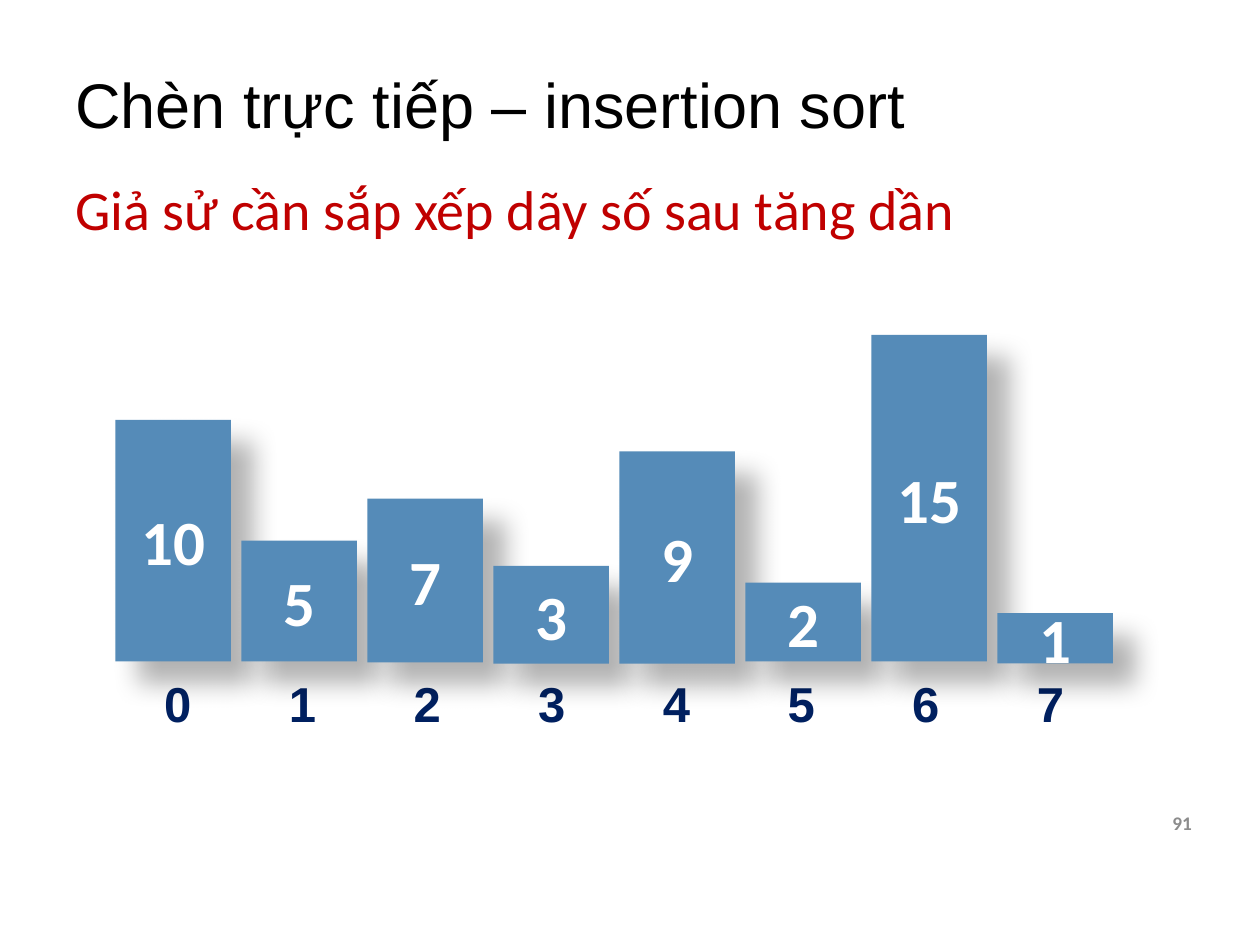
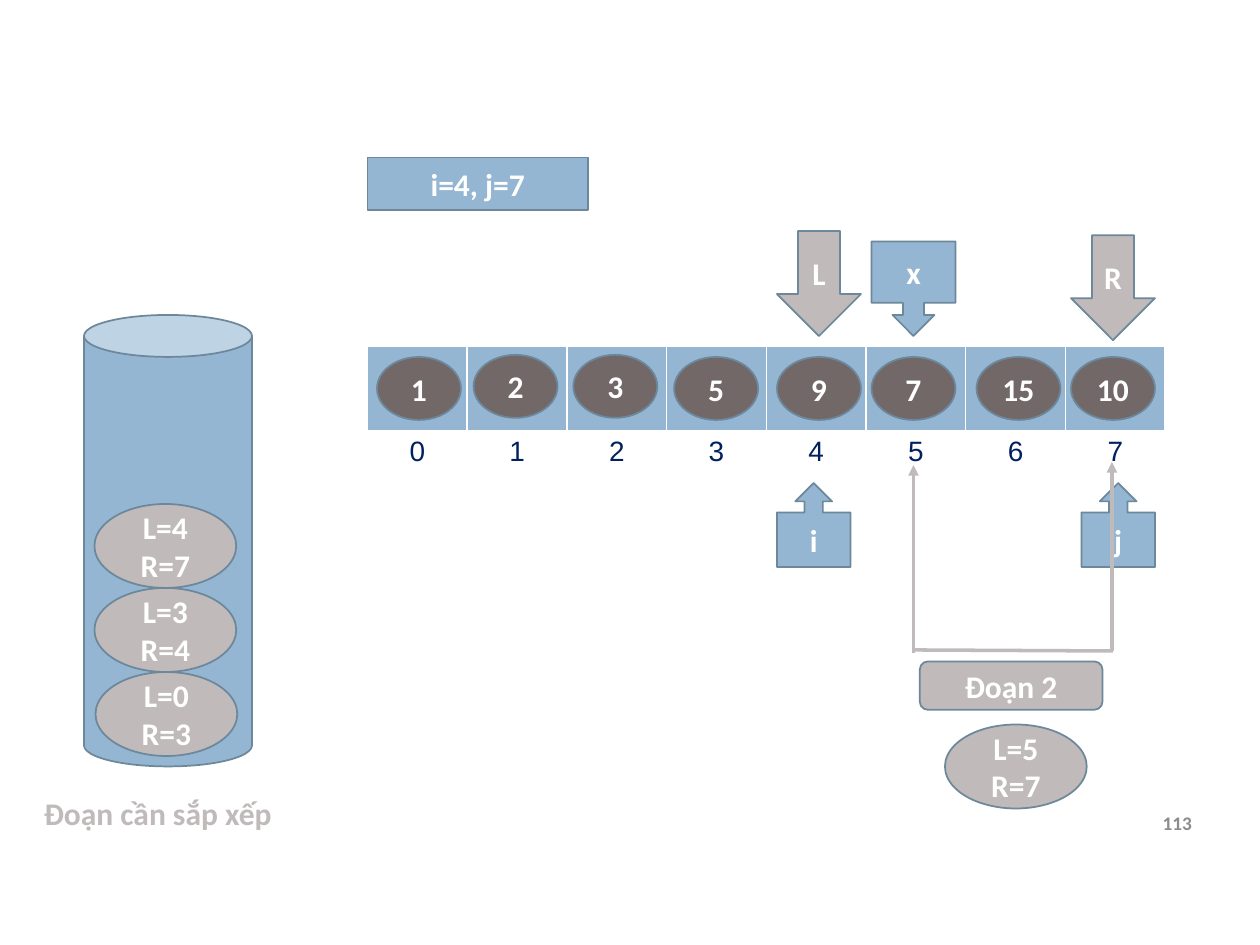
from dataclasses import dataclass
from typing import Optional

import lxml.etree
import pptx
import pptx.dml.color
import pptx.enum.shapes
import pptx.enum.text
import pptx.oxml.ns
import pptx.util

Color = pptx.dml.color.RGBColor
Kind = pptx.enum.shapes.MSO_SHAPE
Align = pptx.enum.text.PP_ALIGN
Anchor = pptx.enum.text.MSO_ANCHOR

SLIDE_WIDTH = pptx.util.Inches(10)
SLIDE_HEIGHT = pptx.util.Inches(7.5)
GRID_COLUMNS = 120
GRID_ROWS = 90

WHITE = Color(0xFF, 0xFF, 0xFF)
BLACK = Color(0x00, 0x00, 0x00)
RED = Color(0xC0, 0x00, 0x00)
NAVY = Color(0x00, 0x20, 0x60)
BAR_BLUE = Color(0x55, 0x8B, 0xB8)
SKY = Color(0x94, 0xB6, 0xD2)
OUTLINE = Color(0x6D, 0x87, 0x9B)
WARM_GRAY = Color(0xC0, 0xBA, 0xBA)
BROWN = Color(0x72, 0x68, 0x68)
NUMBER_GRAY = Color(0x8C, 0x8C, 0x8C)


@dataclass(frozen=True)
class Style:
    size: float
    color: Color = WHITE
    font: str = "Calibri"
    bold: bool = True
    align: Align = Align.CENTER
    spacing: Optional[float] = None


@dataclass(frozen=True)
class Box:
    left: float
    top: float
    width: float
    height: float

    def lengths(self) -> tuple[int, int, int, int]:
        return across(self.left), down(self.top), across(self.width), down(self.height)


@dataclass(frozen=True)
class Block:
    kind: Kind
    box: Box
    fill: Color
    lines: tuple[str, ...] = ()
    outline: Optional[Color] = OUTLINE
    size: float = 18
    shadow: bool = False


@dataclass(frozen=True)
class Line:
    start: tuple[float, float]
    end: tuple[float, float]
    arrow: bool = False


@dataclass(frozen=True)
class Bar:
    value: int
    top: float
    bottom: float = 63


TITLE = Style(36, BLACK, "Arial", False, Align.LEFT, 0.9)
SUBTITLE = Style(32, RED, bold=False, align=Align.LEFT)
SLIDE_NUMBER = Style(11, NUMBER_GRAY, align=Align.RIGHT)
STACK_CAPTION = Style(18, WARM_GRAY, align=Align.LEFT)
BAR_INDEX = Style(28, NAVY, "Arial")
CELL_INDEX = Style(16, NAVY, "Arial", False)

BARS = (
    Bar(10, 40), Bar(5, 51.5), Bar(7, 47.5, 63.1), Bar(3, 53.9, 63.2),
    Bar(9, 43, 63.2), Bar(2, 55.5), Bar(15, 31.9), Bar(1, 58.4, 63.2),
)
BAR_LEFT, BAR_WIDTH, BAR_STEP = 11, 11, 12
INDICES = tuple(str(index) for index in range(8))

ARRAY_DISKS = (
    (1, 35.9, 34), (2, 45.1, 33.8), (3, 54.6, 33.8), (5, 64.2, 34),
    (9, 74, 34), (7, 83, 34), (15, 93, 34), (10, 102, 34),
)
STACK = (("L=0", "R=3", 9.1), ("L=3", "R=4", 9), ("L=4", "R=7", 9))
RANGE_WIDTH, RANGE_HEIGHT = 13.5, 8
STACK_BOTTOM = 72


def across(columns: float) -> int:
    return round(SLIDE_WIDTH * columns / GRID_COLUMNS)


def down(rows: float) -> int:
    return round(SLIDE_HEIGHT * rows / GRID_ROWS)


def add_child(parent, tag: str, **attributes: str):
    child = lxml.etree.SubElement(parent, pptx.oxml.ns.qn(tag))
    for name, value in attributes.items():
        child.set(name, value)
    return child


def write(frame, lines: tuple[str, ...], style: Style) -> None:
    for position, line in enumerate(lines):
        paragraph = frame.add_paragraph() if position else frame.paragraphs[0]
        paragraph.alignment = style.align
        if style.spacing:
            paragraph.line_spacing = style.spacing
        run = paragraph.add_run()
        run.text = line
        run.font.size = pptx.util.Pt(style.size)
        run.font.name = style.font
        run.font.bold = style.bold
        run.font.color.rgb = style.color


def add_text(slide, box: Box, text: str, style: Style,
             anchor: Anchor = Anchor.MIDDLE, wrap: bool = True) -> None:
    frame = slide.shapes.add_textbox(*box.lengths()).text_frame
    frame.word_wrap = wrap
    frame.vertical_anchor = anchor
    write(frame, (text,), style)


def add_slide_number(slide, number: int) -> None:
    add_text(slide, Box(106.7, 75, 8, 6.8), str(number), SLIDE_NUMBER)


def add_block(slide, block: Block) -> None:
    shape = slide.shapes.add_shape(block.kind, *block.box.lengths())
    shape.fill.solid()
    shape.fill.fore_color.rgb = block.fill
    if block.outline:
        shape.line.color.rgb = block.outline
        shape.line.width = pptx.util.Pt(1)
    else:
        shape.line.fill.background()
    shape.shadow.inherit = False
    if block.shadow:
        effects = shape.element.spPr.find(pptx.oxml.ns.qn("a:effectLst"))
        shadow = add_child(effects, "a:outerShdw", blurRad=str(pptx.util.Pt(15)),
                           dist=str(pptx.util.Pt(18)), dir=str(45 * 60000),
                           algn="tl", rotWithShape="0")
        add_child(add_child(shadow, "a:srgbClr", val=str(BLACK)), "a:alpha", val="30000")
    shape.text_frame.word_wrap = False
    shape.text_frame.vertical_anchor = Anchor.MIDDLE
    write(shape.text_frame, block.lines, Style(block.size))


def add_line(slide, line: Line) -> None:
    connector = slide.shapes.add_connector(
        pptx.enum.shapes.MSO_CONNECTOR.STRAIGHT,
        across(line.start[0]), down(line.start[1]), across(line.end[0]), down(line.end[1]))
    connector.line.color.rgb = WARM_GRAY
    connector.line.width = pptx.util.Pt(2)
    properties = connector.element.spPr
    if line.arrow:
        add_child(properties.find(pptx.oxml.ns.qn("a:ln")), "a:tailEnd", type="triangle")
    add_child(properties, "a:effectLst")


def add_cell_borders(cell) -> None:
    properties = cell._tc.get_or_add_tcPr()
    for position, side in enumerate(("a:lnL", "a:lnR", "a:lnT", "a:lnB")):
        border = lxml.etree.Element(pptx.oxml.ns.qn(side), w=str(pptx.util.Pt(1)))
        add_child(add_child(border, "a:solidFill"), "a:srgbClr", val=str(WHITE))
        properties.insert(position, border)


def add_index_table(slide, box: Box, style: Style, filled_rows: int = 0) -> None:
    row_count = filled_rows + 1
    table = slide.shapes.add_table(row_count, len(INDICES), *box.lengths()).table
    table.first_row = False
    table.horz_banding = False
    for column in table.columns:
        column.width = across(box.width / len(INDICES))
    for row_number, row in enumerate(table.rows):
        row.height = down(box.height / row_count)
        for cell, index in zip(row.cells, INDICES):
            if row_number < filled_rows:
                cell.fill.solid()
                cell.fill.fore_color.rgb = SKY
            else:
                cell.fill.background()
                write(cell.text_frame, (index,), style)
            add_cell_borders(cell)


def range_disk(left: float, top: float, low: str, high: str) -> Block:
    return Block(Kind.OVAL, Box(left, top, RANGE_WIDTH, RANGE_HEIGHT), WARM_GRAY, (low, high))


def build_insertion_sort(slide) -> None:
    add_index_table(slide, Box(11, 64, 95, 9), BAR_INDEX)
    add_text(slide, Box(6, 3.6, 107, 13.4), "Chèn trực tiếp – insertion sort", TITLE)
    add_slide_number(slide, 91)
    for position, bar in enumerate(BARS):
        box = Box(BAR_LEFT + position * BAR_STEP, bar.top, BAR_WIDTH, bar.bottom - bar.top)
        add_block(slide, Block(Kind.RECTANGLE, box, BAR_BLUE, (str(bar.value),),
                               outline=None, size=36, shadow=True))
    add_text(slide, Box(6, 16, 107, 7.7), "Giả sử cần sắp xếp dãy số sau tăng dần",
             SUBTITLE, Anchor.TOP)


def build_partition_step(slide) -> None:
    add_index_table(slide, Box(35, 33, 76, 16), CELL_INDEX, filled_rows=1)
    add_slide_number(slide, 113)
    add_text(slide, Box(3, 75, 25.1, 4.8), "Đoạn cần sắp xếp",
             STACK_CAPTION, Anchor.TOP, wrap=False)
    pointers = (
        Block(Kind.CAN, Box(8, 30, 16, 43), SKY),
        Block(Kind.UP_ARROW_CALLOUT, Box(74, 46, 7, 8), SKY, ("i",)),
        Block(Kind.UP_ARROW_CALLOUT, Box(103, 46, 7, 8), SKY, ("j",)),
        Block(Kind.FLOWCHART_PROCESS, Box(35, 15, 21, 5), SKY, ("i=4, j=7",)),
        Block(Kind.DOWN_ARROW_CALLOUT, Box(83, 23, 8, 9), SKY, ("x",)),
        Block(Kind.DOWN_ARROW, Box(74, 22, 8, 10), WARM_GRAY, ("L",)),
        Block(Kind.DOWN_ARROW, Box(102, 22.4, 8, 10), WARM_GRAY, ("R",)),
        Block(Kind.ROUNDED_RECTANGLE, Box(87.6, 63, 17.4, 4.6), WARM_GRAY, ("Đoạn 2",)),
        range_disk(90, 69, "L=5", "R=7"),
    )
    for block in pointers:
        add_block(slide, block)
    for level, (low, high, left) in enumerate(STACK, start=1):
        add_block(slide, range_disk(left, STACK_BOTTOM - level * RANGE_HEIGHT, low, high))
    bracket = (
        Line((87, 61.9), (106, 62)),
        Line((87, 62.2), (87, 44.3), arrow=True),
        Line((105.9, 62), (105.9, 44), arrow=True),
    )
    for line in bracket:
        add_line(slide, line)
    for value, left, top in ARRAY_DISKS:
        add_block(slide, Block(Kind.OVAL, Box(left, top, 8, 6), BROWN, (str(value),)))


def main() -> None:
    presentation = pptx.Presentation()
    presentation.slide_width = SLIDE_WIDTH
    presentation.slide_height = SLIDE_HEIGHT
    blank_layout = presentation.slide_layouts[6]
    for build in (build_insertion_sort, build_partition_step):
        build(presentation.slides.add_slide(blank_layout))
    presentation.save("out.pptx")


if __name__ == "__main__":
    main()
